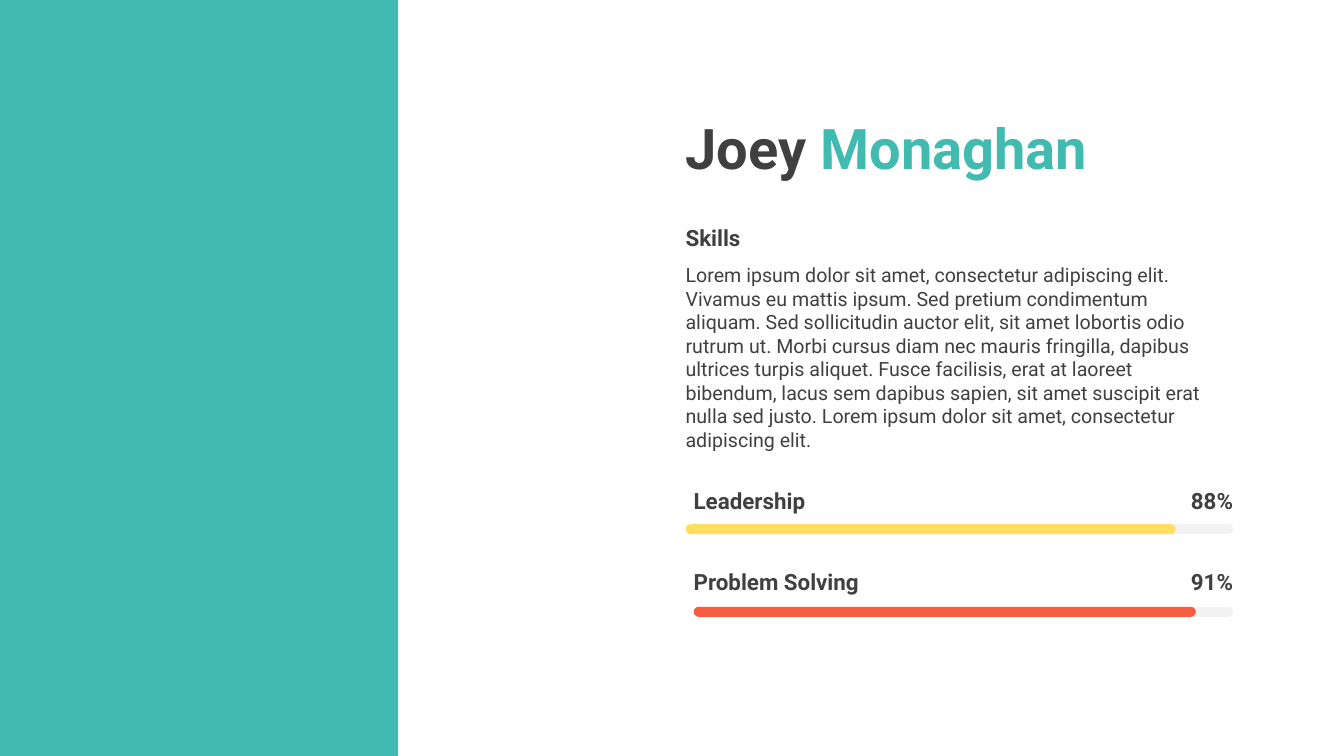
from pptx import Presentation
from pptx.dml.color import RGBColor
from pptx.enum import shapes as s, text as t
from pptx.util import Inches, Pt

FONT = "Roboto"
COLORS = {
    "teal": "41BAB0",
    "dark": "3F403F",
    "track": "F2F2F2",
    "yellow": "FFDD5F",
    "red": "F95D41",
}
LEFT = 6.8
INSET = 6.88
TRACK = 5.35
BIO = (
    "Lorem ipsum dolor sit amet, consectetur adipiscing elit. Vivamus eu mattis "
    "ipsum. Sed pretium condimentum aliquam. Sed sollicitudin auctor elit, sit "
    "amet lobortis odio rutrum ut. Morbi cursus diam nec mauris fringilla, dapibus "
    "ultrices turpis aliquet. Fusce facilisis, erat at laoreet bibendum, lacus sem "
    "dapibus sapien, sit amet suscipit erat nulla sed justo. Lorem ipsum dolor sit "
    "amet, consectetur adipiscing elit."
)
# name, share, label top, bar top, bar left, bar width, color
SKILLS = [
    ("Leadership", "88%", 4.83, 5.2, LEFT, 4.86, "yellow"),
    ("Problem Solving", "91%", 5.64, 6.02, INSET, 4.98, "red"),
]


def color(name):
    return RGBColor.from_string(COLORS[name])


def add_block(slide, kind, box, fill):
    shape = slide.shapes.add_shape(kind, *map(Inches, box))
    shape.shadow.inherit = False
    shape.fill.solid()
    shape.fill.fore_color.rgb = color(fill)
    shape.line.fill.background()
    return shape


def add_bar(slide, left, top, width, fill):
    bar = add_block(slide, s.MSO_SHAPE.ROUNDED_RECTANGLE,
                    (left, top, width, 0.1), fill)
    bar.adjustments[0] = 0.5


def write(frame, runs, size, bold=True, align=t.PP_ALIGN.LEFT, wrap=True,
          anchor=t.MSO_ANCHOR.TOP):
    """Fill a frame with one paragraph of (words, color) runs."""
    frame.margin_left = frame.margin_right = 0
    frame.margin_top = frame.margin_bottom = 0
    frame.word_wrap = wrap
    frame.auto_size = t.MSO_AUTO_SIZE.NONE
    frame.vertical_anchor = anchor
    para = frame.paragraphs[0]
    para.alignment = align
    for words, tone in runs:
        run = para.add_run()
        run.text = words
        run.font.name = FONT
        run.font.size = Pt(size)
        run.font.bold = bold
        run.font.color.rgb = color(tone)
    return para


def add_title(slide):
    title = slide.shapes.title
    title.left, title.top = Inches(LEFT), Inches(1.09)
    title.width, title.height = Inches(5.43), Inches(0.71)
    para = write(title.text_frame, [("Joey ", "dark"), ("Monaghan", "teal")], 40,
                 wrap=False, anchor=t.MSO_ANCHOR.BOTTOM)
    para.line_spacing = 0.9
    para.space_before = Pt(0)


def add_label(slide, box, words, size=16, **style):
    label = slide.shapes.add_textbox(*map(Inches, box))
    write(label.text_frame, [(words, "dark")], size, **style)


def add_skill(slide, name, share, top, bar_top, left, width, fill):
    add_label(slide, (INSET, top, 3.09, 0.26), name)
    add_label(slide, (10.79, top, 1.44, 0.26), share, align=t.PP_ALIGN.RIGHT)
    add_bar(slide, INSET, bar_top, TRACK, "track")
    add_bar(slide, left, bar_top, width, fill)


def main():
    deck = Presentation()
    deck.slide_width, deck.slide_height = Inches(13.33), Inches(7.5)
    slide = deck.slides.add_slide(deck.slide_layouts[5])
    add_block(slide, s.MSO_SHAPE.RECTANGLE, (0, 0, 3.95, 7.5), "teal")
    add_title(slide)
    add_label(slide, (LEFT, 2.22, 5.36, 0.26), "Skills")
    add_label(slide, (LEFT, 2.61, 5.36, 1.7), BIO, size=14, bold=False)
    for skill in SKILLS:
        add_skill(slide, *skill)
    deck.save("out.pptx")


if __name__ == "__main__":
    main()
